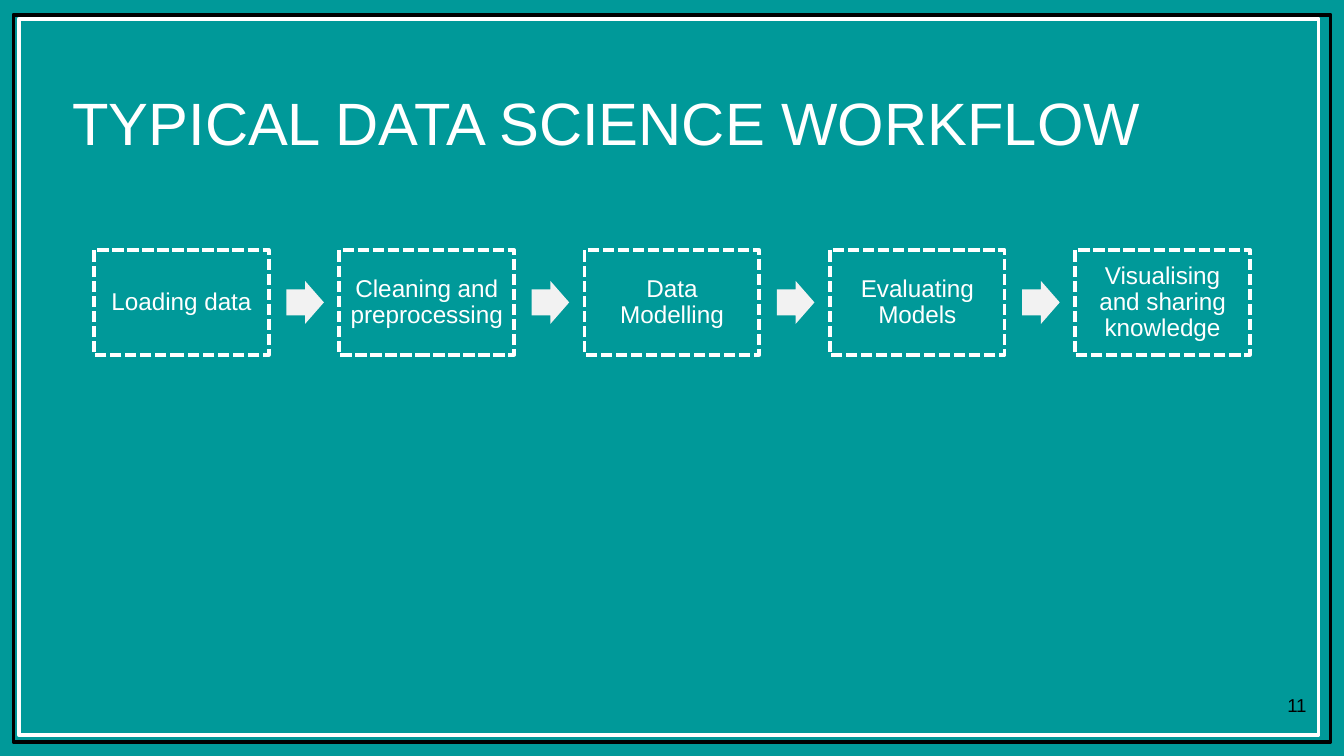
import pptx
import pptx.util
import pptx.dml.color
import pptx.enum.dml
import pptx.enum.shapes
import pptx.enum.text

Inches = pptx.util.Inches
Pt = pptx.util.Pt
MSO_SHAPE = pptx.enum.shapes.MSO_SHAPE
PP_ALIGN = pptx.enum.text.PP_ALIGN
MSO_ANCHOR = pptx.enum.text.MSO_ANCHOR

TEAL = pptx.dml.color.RGBColor(0x00, 0x99, 0x99)
WHITE = pptx.dml.color.RGBColor(0xFF, 0xFF, 0xFF)
BLACK = pptx.dml.color.RGBColor(0x00, 0x00, 0x00)
LIGHT_GREY = pptx.dml.color.RGBColor(0xF2, 0xF2, 0xF2)

# 16:9 slide
prs = pptx.Presentation()
prs.slide_width = Inches(10)
prs.slide_height = Inches(10 * 9 / 16)
s = prs.slides.add_slide(prs.slide_layouts[6])
s.background.fill.solid()
s.background.fill.fore_color.rgb = TEAL


def add_outline(left, top, width, height, color, weight):
    sp = s.shapes.add_shape(MSO_SHAPE.RECTANGLE, Inches(left), Inches(top),
                            Inches(width), Inches(height))
    sp.shadow.inherit = False
    sp.fill.background()
    sp.line.color.rgb = color
    sp.line.width = Pt(weight)
    return sp


def set_text(sp, text, size, color, align, inset):
    tf = sp.text_frame
    tf.word_wrap = True
    tf.margin_left = tf.margin_right = Inches(inset)
    tf.margin_top = tf.margin_bottom = Inches(inset)
    tf.vertical_anchor = MSO_ANCHOR.TOP
    p = tf.paragraphs[0]
    p.text = text
    p.alignment = align
    r = p.runs[0]
    r.font.name = "Arial"
    r.font.size = Pt(size)
    r.font.color.rgb = color
    return tf


# Slide frames
add_outline(0.1, 0.11, 9.8, 5.41, WHITE, 0.75)
add_outline(0.1, 0.11, 9.8, 5.41, BLACK, 2)
add_outline(0.14, 0.14, 9.67, 5.33, WHITE, 2)

# Title
sp = s.shapes.add_textbox(Inches(0.44), Inches(0.54), Inches(9), Inches(0.45))
set_text(sp, "TYPICAL DATA SCIENCE WORKFLOW", 32, WHITE, PP_ALIGN.LEFT, 0.1)

# Slide number
sp = s.shapes.add_textbox(Inches(9.32), Inches(5.08), Inches(0.5), Inches(0.32))
set_text(sp, "11", 10, BLACK, PP_ALIGN.RIGHT, 0.1)

# Workflow: dashed steps with block arrows between them
steps = ["Loading data", "Cleaning and preprocessing", "Data Modelling",
         "Evaluating Models", "Visualising and sharing knowledge"]
first_left, last_left = 0.7, 8
pitch = (last_left - first_left) / (len(steps) - 1)

for i, step in enumerate(steps):
    left = first_left + i * pitch
    sp = add_outline(left, 1.86, 1.3, 0.78, WHITE, 2)
    sp.line.dash_style = pptx.enum.dml.MSO_LINE.SQUARE_DOT
    tf = set_text(sp, step, 13, WHITE, PP_ALIGN.CENTER, 0.05)
    tf.vertical_anchor = MSO_ANCHOR.MIDDLE
    tf.paragraphs[0].line_spacing = 0.9

    if i < len(steps) - 1:
        sp = s.shapes.add_shape(MSO_SHAPE.RIGHT_ARROW, Inches(left + 1.43),
                                Inches(2.09), Inches(0.28), Inches(0.32))
        sp.shadow.inherit = False
        sp.adjustments[0] = 0.6
        sp.adjustments[1] = 0.5
        sp.fill.solid()
        sp.fill.fore_color.rgb = LIGHT_GREY
        sp.line.fill.background()

prs.save("out.pptx")
